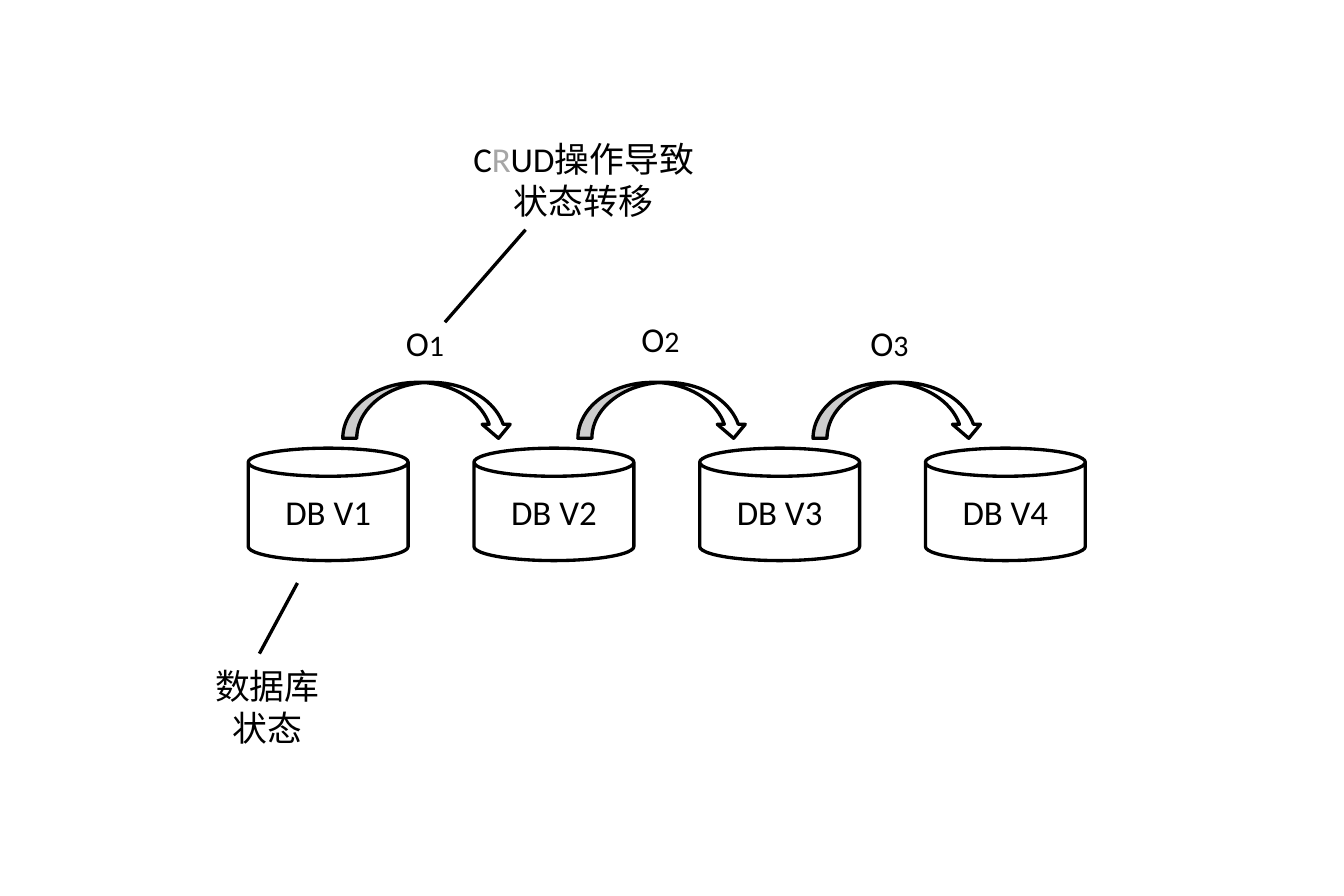
from pptx import Presentation
from pptx.dml.color import RGBColor
from pptx.enum.shapes import MSO_SHAPE as Shape
from pptx.enum.text import MSO_ANCHOR as Anchor, MSO_AUTO_SIZE as AutoSize, PP_ALIGN as Align
from pptx.util import Cm, Pt

COLORS = {"ink": "000000", "paper": "FFFFFF", "muted": "A6A6A6"}


def color(name):
    return RGBColor.from_string(COLORS[name])


def add_span(para, text, size=21, ink="ink", font="Calibri"):
    span = para.add_run()
    span.text = text
    span.font.name = font
    span.font.size = Pt(size)
    span.font.color.rgb = color(ink)


class StateDiagram:
    line_width = Pt(2)

    def __init__(self, page):
        self.page = page

    def outline(self, kind, left, top, width, height):
        shape = self.page.shapes.add_shape(kind, Cm(left), Cm(top), Cm(width), Cm(height))
        shape.shadow.inherit = False
        shape.fill.solid()
        shape.fill.fore_color.rgb = color("paper")
        shape.line.color.rgb = color("ink")
        shape.line.width = self.line_width
        frame = shape.text_frame
        frame.word_wrap = True
        frame.vertical_anchor = Anchor.MIDDLE
        frame.paragraphs[0].alignment = Align.CENTER
        return shape

    def database(self, left, name):
        can = self.outline(Shape.CAN, left, 9.53, 3.4, 2.39)
        add_span(can.text_frame.paragraphs[0], name)

    def transition(self, left):
        self.outline(Shape.CURVED_DOWN_ARROW, left, 8.13, 3.61, 1.19)

    def operation(self, left, top, number):
        box = self.page.shapes.add_textbox(Cm(left), Cm(top), Cm(1.32), Cm(1.14))
        box.text_frame.word_wrap = False
        box.text_frame.auto_size = AutoSize.SHAPE_TO_FIT_TEXT
        para = box.text_frame.paragraphs[0]
        add_span(para, "O")
        add_span(para, str(number), size=18)

    def callout(self, left, top, width, pointer, spans):
        note = self.outline(Shape.LINE_CALLOUT_1_NO_BORDER, left, top, width, 2.21)
        for index, value in enumerate(pointer):
            note.adjustments[index] = value
        for text, ink in spans:
            add_span(note.text_frame.paragraphs[0], text, ink=ink)


def main():
    deck = Presentation()
    deck.slide_width, deck.slide_height = Cm(28.58), Cm(19.05)
    diagram = StateDiagram(deck.slides.add_slide(deck.slide_layouts[6]))

    for index in range(4):
        diagram.database(5.28 + 4.8 * index, f"DB V{index + 1}")
    for index in range(3):
        diagram.transition(7.29 + 5 * index)
    for number, (left, top) in enumerate([(8.38, 6.71), (13.39, 6.63), (18.26, 6.71)], 1):
        diagram.operation(left, top, number)

    diagram.callout(4.29, 13.92, 2.79, (-0.01, 0.44, -0.69, 0.73), [("数据库状态", "ink")])
    diagram.callout(9.73, 2.72, 5.36, (1.87, -0.05, 0.98, 0.27),
                    [("C", "ink"), ("R", "muted"), ("UD操作导致状态转移", "ink")])
    deck.save("out.pptx")


if __name__ == "__main__":
    main()
